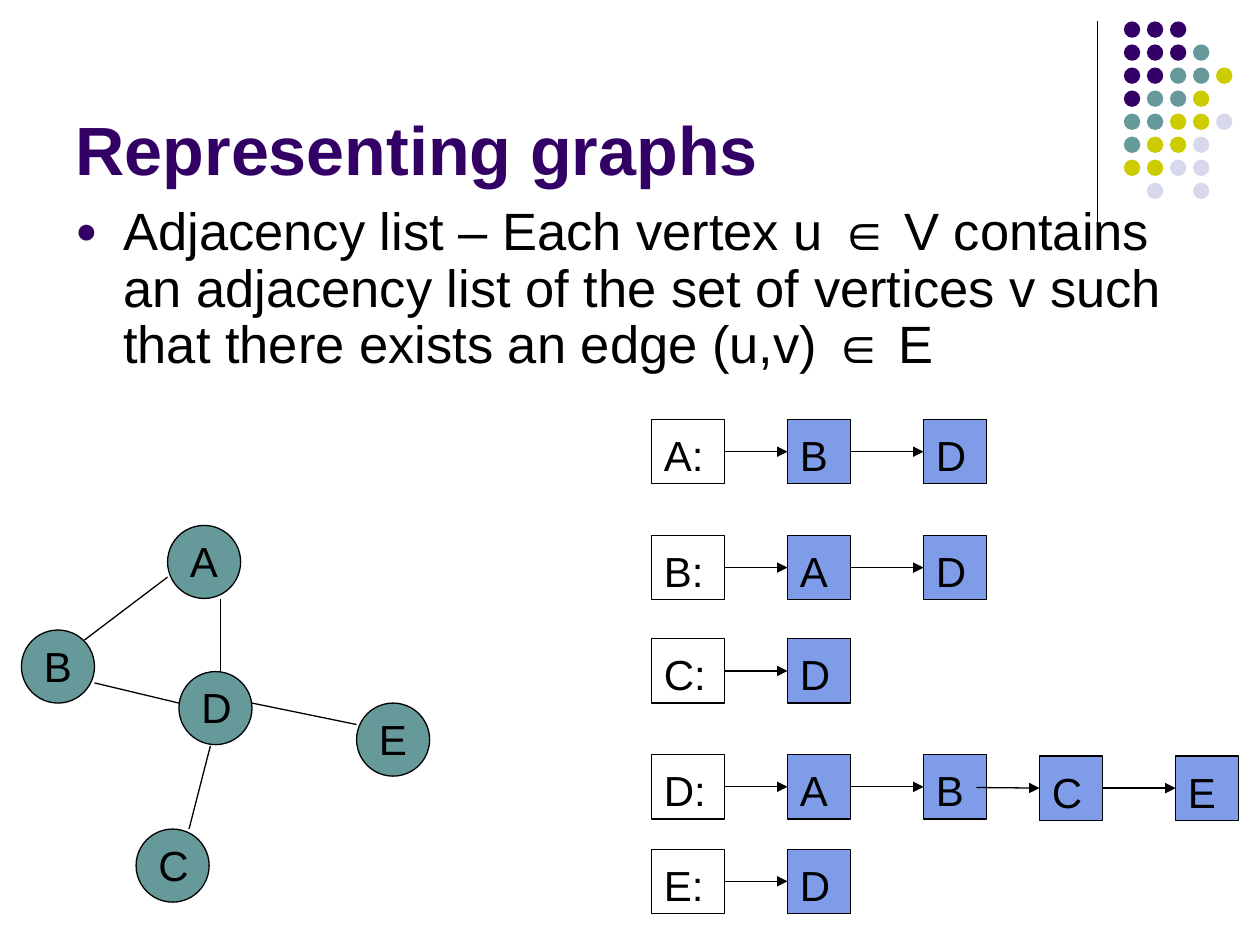
import dataclasses
import typing

import lxml.etree
import pptx
import pptx.dml.color
import pptx.enum.shapes
import pptx.enum.text
import pptx.oxml.ns
import pptx.util

Inches = pptx.util.Inches
Pt = pptx.util.Pt
Color = pptx.dml.color.RGBColor
Kind = pptx.enum.shapes.MSO_SHAPE
Anchor = pptx.enum.text.MSO_ANCHOR
Align = pptx.enum.text.PP_ALIGN
Fit = pptx.enum.text.MSO_AUTO_SIZE
qn = pptx.oxml.ns.qn

BLACK = Color(0x00, 0x00, 0x00)
PURPLE = Color(0x33, 0x00, 0x66)
TEAL = Color(0x66, 0x99, 0x99)
LIME = Color(0xCC, 0xCC, 0x00)
PALE = Color(0xD8, 0xD8, 0xEC)
BLUE = Color(0x7E, 0x9C, 0xE8)

TITLE = {"name": "Arial", "size": Pt(39), "bold": True}
BODY = {"name": "Arial", "size": Pt(30)}
LABEL = {"name": "Arial", "size": Pt(24)}
FRAME = {"word_wrap": True, "auto_size": Fit.NONE}
TIGHT = FRAME | {"vertical_anchor": Anchor.TOP, "margin_top": Inches(0.08),
                 "margin_bottom": 0}

DOTS = ["PPP", "PPPT", "PPTTL", "PTTL", "TTLLG", "TLLG", "LLGG", " G G"]
HUES = {"P": PURPLE, "T": TEAL, "L": LIME, "G": PALE}
DOT = 0.13
STEP = 1.28 / 7

NODE = 0.58
HIGH = 0.51


@dataclasses.dataclass
class Node:
    name: str
    left: float
    top: float


@dataclasses.dataclass
class Edge:
    x1: float
    y1: float
    x2: float
    y2: float


@dataclasses.dataclass
class Cell:
    text: str
    left: float
    top: float
    wide: float = 0.5
    fill: typing.Optional[Color] = BLUE


@dataclasses.dataclass
class Row:
    head: str
    items: str
    top: float


NODES = [
    Node("A", 1.33, 4.17),
    Node("B", 0.17, 5),
    Node("C", 1.08, 6.58),
    Node("E", 2.83, 5.58),
    Node("D", 1.42, 5.33),
]
EDGES = [
    Edge(0.67, 5.08, 1.33, 4.58),
    Edge(0.75, 5.42, 1.42, 5.58),
    Edge(1.75, 5.33, 1.75, 4.75),
    Edge(1.67, 5.92, 1.5, 6.58),
    Edge(2, 5.58, 2.83, 5.75),
]
ROWS = [
    Row("A:", "BD", 3.33),
    Row("B:", "AD", 4.25),
    Row("C:", "D", 5.07),
    Row("D:", "AB", 5.99),
    Row("E:", "D", 6.74),
]


def apply(item: typing.Any, form: dict) -> None:
    for key, value in form.items():
        setattr(item, key, value)


def write(frame: typing.Any, text: str, font: dict, color: Color, box: dict) -> typing.Any:
    apply(frame, box)
    para = frame.paragraphs[0]
    para.alignment = Align.LEFT
    run = para.add_run()
    run.text = text
    apply(run.font, font)
    run.font.color.rgb = color
    return para


def add_box(slide: typing.Any, left: float, top: float, wide: float, high: float) -> typing.Any:
    return slide.shapes.add_textbox(*map(Inches, (left, top, wide, high)))


def add_form(slide: typing.Any, kind: Kind, left: float, top: float, wide: float,
             high: float, fill: typing.Optional[Color], edge: bool = True) -> typing.Any:
    form = slide.shapes.add_shape(kind, *map(Inches, (left, top, wide, high)))
    form.shadow.inherit = False
    if fill is None:
        form.fill.background()
    else:
        form.fill.solid()
        form.fill.fore_color.rgb = fill
    if edge:
        form.line.color.rgb = BLACK
        form.line.width = Pt(0.75)
    else:
        form.line.fill.background()
    return form


def add_line(slide: typing.Any, edge: Edge, arrow: bool = False) -> typing.Any:
    line = slide.shapes.add_connector(
        pptx.enum.shapes.MSO_CONNECTOR.STRAIGHT,
        *map(Inches, (edge.x1, edge.y1, edge.x2, edge.y2)))
    line.line.color.rgb = BLACK
    line.line.width = Pt(0.75)
    props = line._element.spPr
    if arrow:
        lxml.etree.SubElement(props.find(qn("a:ln")), qn("a:tailEnd"), type="triangle")
    lxml.etree.SubElement(props, qn("a:effectLst"))
    return line


def add_cell(slide: typing.Any, cell: Cell) -> typing.Any:
    form = add_form(slide, Kind.RECTANGLE, cell.left, cell.top, cell.wide, HIGH, cell.fill)
    write(form.text_frame, cell.text, LABEL, BLACK, TIGHT)
    return form


def link(slide: typing.Any, first: typing.Any, last: typing.Any) -> None:
    line = add_line(slide, Edge(0, 0, 1, 0), True)
    line.begin_connect(first, 3)
    line.end_connect(last, 1)


def add_node(slide: typing.Any, node: Node) -> None:
    add_form(slide, Kind.OVAL, node.left, node.top, NODE, NODE, TEAL)
    box = add_box(slide, node.left + 0.08, node.top, 0.5, 0.5)
    write(box.text_frame, node.name, LABEL, BLACK, TIGHT)


def add_row(slide: typing.Any, row: Row) -> None:
    cells = [Cell(row.head, 5.17, row.top, NODE, None)]
    cells += [Cell(name, 6.25 + 1.08 * i, row.top) for i, name in enumerate(row.items)]
    forms = [add_cell(slide, cell) for cell in cells]
    for first, last in zip(forms, forms[1:]):
        link(slide, first, last)


def add_dots(slide: typing.Any) -> None:
    for j, row in enumerate(DOTS):
        for i, key in enumerate(row):
            if key in HUES:
                add_form(slide, Kind.OVAL, 8.92 + i * STEP, 0.17 + j * STEP,
                         DOT, DOT, HUES[key], False)


def add_body(slide: typing.Any) -> None:
    text = ("Adjacency list – Each vertex u ∈ V contains an adjacency list of the set "
            "of vertices v such that there exists an edge (u,v) ∈ E")
    para = write(add_box(slide, 0.5, 1.58, 9, 1.54).text_frame, text, BODY, BLACK, FRAME)
    para.line_spacing = 0.9
    props = para._p.get_or_add_pPr()
    props.set("marL", str(Inches(0.38)))
    props.set("indent", str(-Inches(0.38)))
    tint = lxml.etree.SubElement(props, qn("a:buClr"))
    lxml.etree.SubElement(tint, qn("a:srgbClr"), val=str(PURPLE))
    lxml.etree.SubElement(props, qn("a:buSzPct"), val="70000")
    lxml.etree.SubElement(props, qn("a:buFont"), typeface="Arial")
    lxml.etree.SubElement(props, qn("a:buChar"), char="●")


def main() -> None:
    deck = pptx.Presentation()
    apply(deck, {"slide_width": Inches(10), "slide_height": Inches(7.5)})
    slide = deck.slides.add_slide(deck.slide_layouts[5])
    title = slide.shapes.title
    apply(title, {"left": Inches(0.5), "top": Inches(0.13),
                  "width": Inches(8.25), "height": Inches(1.42)})
    write(title.text_frame, "Representing graphs", TITLE, PURPLE,
          FRAME | {"vertical_anchor": Anchor.BOTTOM})
    add_line(slide, Edge(8.71, 0.17, 8.71, 1.83))
    add_dots(slide)
    add_body(slide)
    for node in NODES:
        add_node(slide, node)
    for edge in EDGES:
        add_line(slide, edge)
    for row in ROWS:
        add_row(slide, row)
    third, fourth = [add_cell(slide, Cell(name, left, 6))
                     for name, left in (("C", 8.25), ("E", 9.33))]
    add_line(slide, Edge(7.75, 6.25, 8.25, 6.25), True).end_connect(third, 1)
    link(slide, third, fourth)
    deck.save("out.pptx")


if __name__ == "__main__":
    main()
